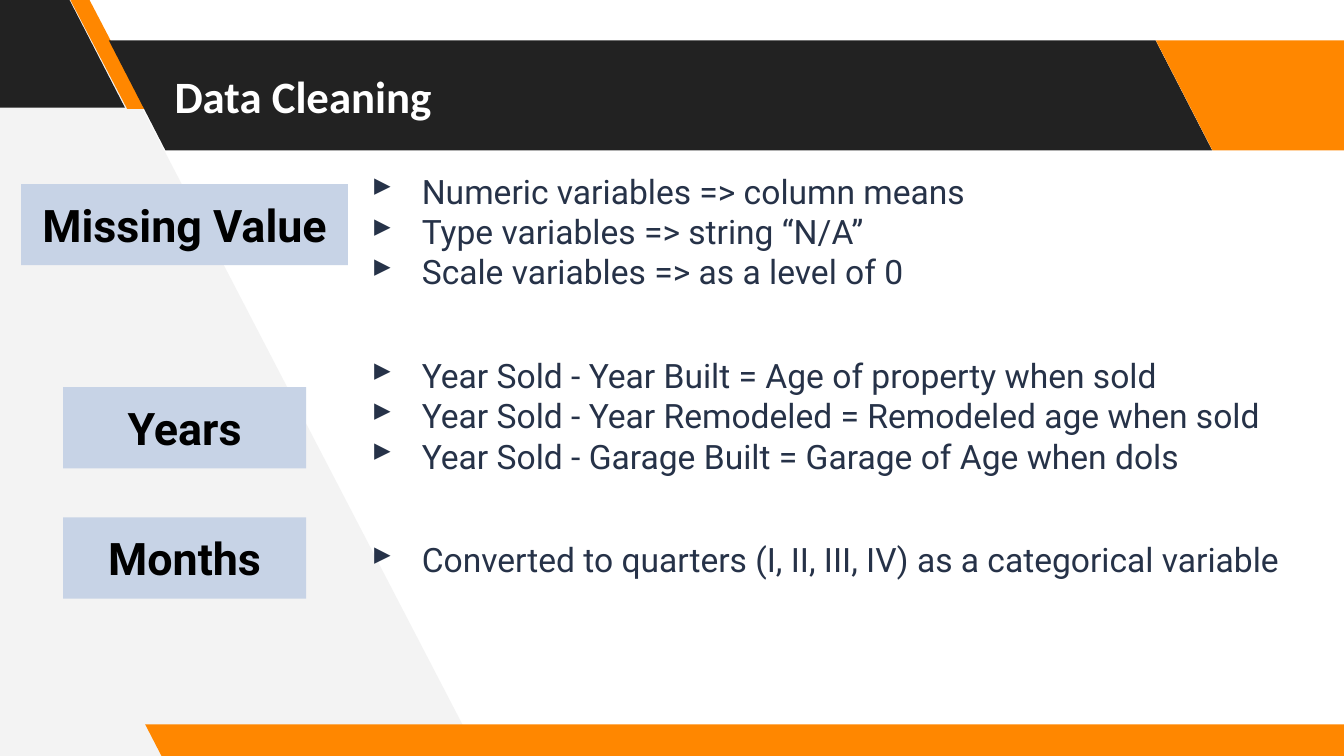
"""Build the Data Cleaning slide: a banner, three labelled topics and their rules."""
from lxml import etree
from pptx import Presentation
from pptx.dml.color import RGBColor
from pptx.enum import shapes, text
from pptx.oxml.ns import qn
from pptx.util import Pt

THEME = {
    "dark": "222222", "accent": "FF8700", "pale": "F3F3F3", "label": "C7D3E6",
    "rule": "263248", "white": "FFFFFF", "black": "000000",
    "heading_font": "Calibri", "body_font": "Roboto",
    "heading_size": 24, "rule_size": 18, "inset": 7.2, "topic_gap": 34,
}

TITLE = "Data Cleaning"
TITLE_BOX = (86.4, 21.6, 596.2, 59)
RULES_BOX = (182.9, 84.2, 529.2, 236.2)
LABEL_CENTRE, LABEL_HEIGHT = 98.9, 43.5
TOPICS = [
    {"label": "Missing Value", "top": 98.6, "width": 175, "rules": [
        "Numeric variables => column means",
        "Type variables => string “N/A”",
        "Scale variables => as a level of 0"]},
    {"label": "Years", "top": 207.4, "width": 130.3, "rules": [
        "Year Sold - Year Built = Age of property when sold",
        "Year Sold - Year Remodeled = Remodeled age when sold",
        "Year Sold - Garage Built = Garage of Age when dols"]},
    {"label": "Months", "top": 277.2, "width": 130.3, "rules": [
        "Converted to quarters (I, II, III, IV) as a categorical variable"]},
]
BACKDROP = [(256.3, 404.6), (44.6, -2.9), (-4.3, -2.9), (-1.4, 407.5)]
BANDS = [
    ((-71.3, -1.4, 138.2, 59), 0.515, "dark"),
    ((37.4, -0.7, 41, 59), 0.75, "accent"),
    ((58.3, 21.6, 591.1, 59), 0.515, "dark"),
    ((619.2, 21.6, 138.2, 59), 0.515, "accent"),
    ((77.8, 388.1, 658.8, 18), 0.515, "accent"),
]


def colour(name):
    return RGBColor.from_string(THEME[name])


def paint(shape, fill):
    shape.shadow.inherit = False
    shape.fill.solid()
    shape.fill.fore_color.rgb = colour(fill)
    shape.line.fill.background()


def frame_of(shape, anchor):
    frame = shape.text_frame
    settings = {"word_wrap": True, "vertical_anchor": anchor}
    for side in ("left", "right", "top", "bottom"):
        settings[f"margin_{side}"] = Pt(THEME["inset"])
    for name, value in settings.items():
        setattr(frame, name, value)
    return frame


def write(paragraph, words, font, size, ink, bold=False):
    run = paragraph.add_run()
    run.text = words
    look = {"name": THEME[font], "size": Pt(THEME[size]), "bold": bold}
    for name, value in look.items():
        setattr(run.font, name, value)
    run.font.color.rgb = colour(ink)


def add_bullet(paragraph):
    properties = paragraph._p.get_or_add_pPr()
    properties.set("marL", str(Pt(36)))
    properties.set("indent", str(Pt(-27)))
    tint = etree.SubElement(properties, qn("a:buClr"))
    etree.SubElement(tint, qn("a:srgbClr"), val=THEME["rule"])
    etree.SubElement(properties, qn("a:buChar"), char="▸")


def add_backdrop(slide):
    corners = [(Pt(x), Pt(y)) for x, y in BACKDROP]
    builder = slide.shapes.build_freeform(*corners[0], scale=1.0)
    builder.add_line_segments(corners[1:], close=True)
    paint(builder.convert_to_shape(), "pale")


def add_bands(slide):
    for box, slant, fill in BANDS:
        band = slide.shapes.add_shape(shapes.MSO_SHAPE.PARALLELOGRAM, *map(Pt, box))
        band.adjustments[0] = slant
        band.element.spPr.xfrm.set("flipH", "1")
        paint(band, fill)


def add_title(slide):
    heading = slide.shapes.add_textbox(*map(Pt, TITLE_BOX))
    frame = frame_of(heading, text.MSO_ANCHOR.MIDDLE)
    write(frame.paragraphs[0], TITLE, "heading_font", "heading_size", "white", True)


def add_rules(slide):
    rules = slide.shapes.add_textbox(*map(Pt, RULES_BOX))
    frame = frame_of(rules, text.MSO_ANCHOR.TOP)
    for t, topic in enumerate(TOPICS):
        for r, rule in enumerate(topic["rules"]):
            first = t == r == 0
            paragraph = frame.paragraphs[0] if first else frame.add_paragraph()
            starts_topic = r == 0 and t > 0
            paragraph.space_before = Pt(THEME["topic_gap"] if starts_topic else 0)
            add_bullet(paragraph)
            write(paragraph, rule, "body_font", "rule_size", "rule")


def add_labels(slide):
    for topic in TOPICS:
        left = LABEL_CENTRE - topic["width"] / 2
        box = (left, topic["top"], topic["width"], LABEL_HEIGHT)
        label = slide.shapes.add_shape(shapes.MSO_SHAPE.RECTANGLE, *map(Pt, box))
        paint(label, "label")
        paragraph = frame_of(label, text.MSO_ANCHOR.MIDDLE).paragraphs[0]
        paragraph.alignment = text.PP_ALIGN.CENTER
        write(paragraph, topic["label"], "body_font", "heading_size", "black", True)


def main():
    deck = Presentation()
    deck.slide_width, deck.slide_height = Pt(720), Pt(405)
    slide = deck.slides.add_slide(deck.slide_layouts[6])
    for add_part in (add_backdrop, add_bands, add_title, add_rules, add_labels):
        add_part(slide)
    deck.save("out.pptx")


if __name__ == "__main__":
    main()
